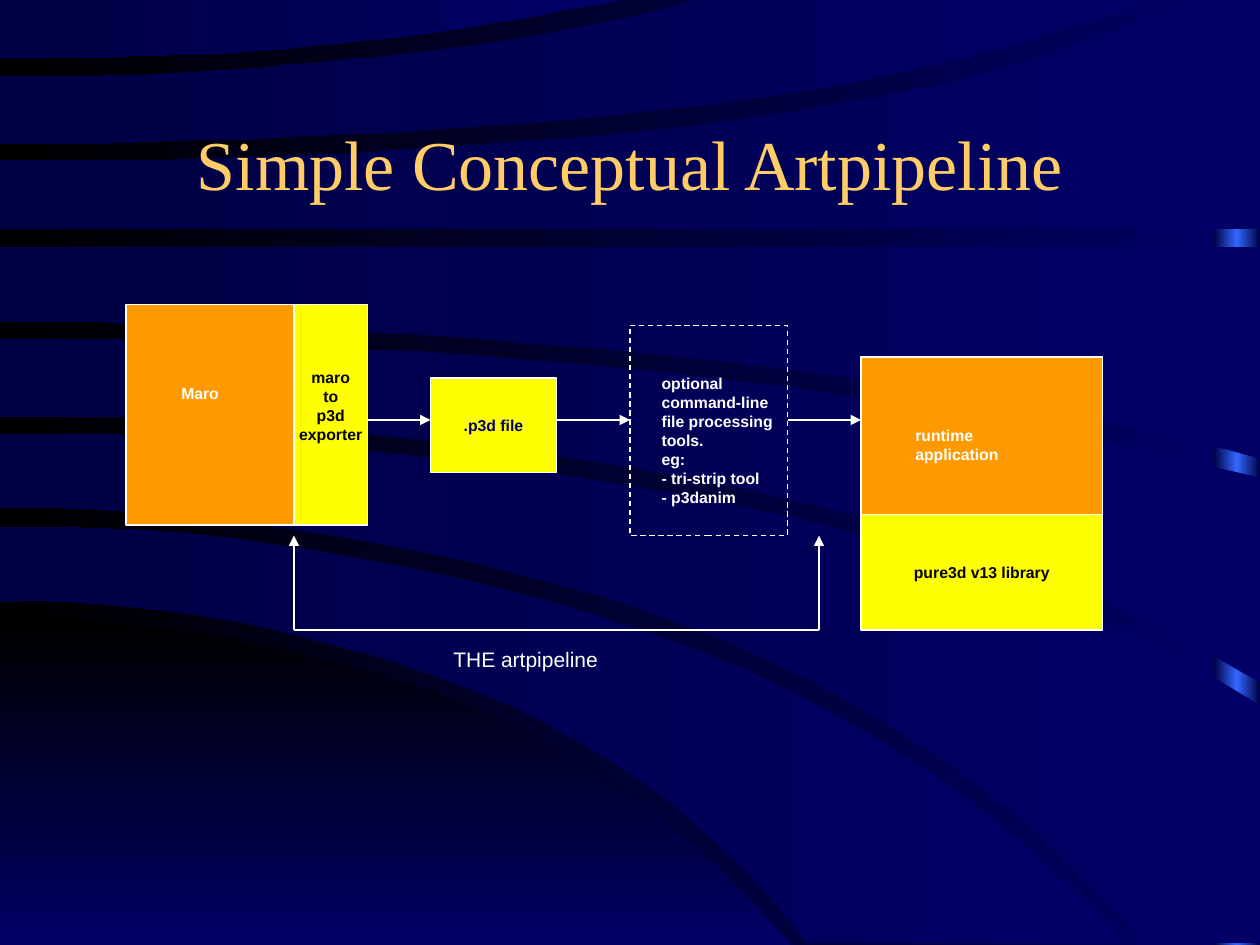
from lxml import etree
from pptx import Presentation, util as u
from pptx.dml.color import RGBColor
from pptx.enum import dml, shapes, text
from pptx.oxml.ns import qn

THEME = {
    "white": "FFFFFF", "black": "000000", "navy": "000066", "midnight": "000044",
    "blue": "3366FF", "gold": "FFCC66", "orange": "FF9900", "yellow": "FFFF00",
    "title_font": "Times New Roman", "body_font": "Arial",
    "title_size": 40, "caption_size": 12, "label_size": 9, "line_width": 0.75,
}
WIDTH, HEIGHT = 720, 540
FLOOR = 538.6  # where the bands end at the bottom

# Each edge runs from the left side to an end x, with heights at equal steps
POOL = [(452, [353.5, 362, 389, 440, HEIGHT]), (452, [HEIGHT, HEIGHT])]
# Bands: upper edge, lower edge, corner passed between their right ends
BANDS = [
    [(643, [301, 312, 346, 411, FLOOR]), (462, [343.5, 352, 380, 433, FLOOR]), None],
    [(WIDTH, [247.5, 255.5, 277.5, 320, 403]),
     (654.5, [290, 302, 336, 404, FLOOR]), (WIDTH, FLOOR)],
    [(WIDTH, [193.5, 198, 211, 235, 273]), (WIDTH, [237.5, 245, 267, 309.5, 390]), None],
    [(WIDTH, [141, 141]), (WIDTH, [183.5, 188, 201, 224, 262]), None],
    [(679, [92, 89, 77.5, 54, 0]), (WIDTH, [131, 131]), (WIDTH, 0)],
    [(396, [44, 42, 34.5, 22, 0]), (657, [82, 78.5, 68, 46, 0]), None],
    [(356, [0, 0]), (356, [34, 32, 26.5, 15.5, 0]), None],
]
CURVE_STEPS = 24

# Pipeline boxes: left, top, width, height, fill, lines of text, text format
BOXES = [
    (72, 174, 96, 126, "orange", [], {}),
    (168, 174, 42, 126, "yellow", ["maro", "to", "p3d", "exporter"], {"bottom": 14}),
    (246, 216, 72, 54, "yellow", [".p3d file"], {"ink": "navy"}),
    (360, 186, 90, 120, None, [], {}),
    (492, 204, 138, 90, "orange", [], {}),
    (492, 294, 138, 66, "yellow", ["pure3d v13 library"], {}),
]
# Free labels: left, top, width, height, lines of text, text format
LABELS = [
    (252, 366, 97, 21.6, ["THE artpipeline"], {"size": "caption_size", "bold": False}),
    (96.5, 216, 37, 17.6, ["Maro"], {}),
    (516, 240, 97, 17.6, ["runtime application"], {}),
    (371, 210, 78, 83, ["optional", "command-line", "file processing", "tools.",
                        "eg:", "- tri-strip tool", "- p3danim"], {}),
]
FLOW_Y = 240
FLOW = [(210, 246), (318, 360), (450, 492)]
BRACKET = {"left": 168, "right": 468, "top": 306, "bottom": 360}


def color(name):
    return RGBColor.from_string(THEME[name])


def edge_points(end, heights):
    """Points on the polynomial through evenly spaced heights."""
    last = len(heights) - 1
    points = []
    for step in range(CURVE_STEPS + 1):
        place = step * last / CURVE_STEPS
        y = 0
        for knot, height in enumerate(heights):
            for other in range(last + 1):
                if other != knot:
                    height *= (place - other) / (knot - other)
            y += height
        points.append((end * step / CURVE_STEPS, y))
    return points


def paint_gradient(fill, element, names, angle):
    """Fill with evenly spaced stops; the angle runs clockwise."""
    fill.gradient()
    fill.gradient_angle = (360 - angle) % 360
    stops = next(element.iter(qn("a:gsLst")))
    for stop in list(stops):
        stops.remove(stop)
    for index, name in enumerate(names):
        stop = etree.SubElement(stops, qn("a:gs"), pos=str(100000 * index // (len(names) - 1)))
        etree.SubElement(stop, qn("a:srgbClr"), val=THEME[name])


def finish_backdrop(shape, names, angle):
    shape.shadow.inherit = False
    shape.line.fill.background()
    paint_gradient(shape.fill, shape._element, names, angle)


def add_band(page, upper, lower, corner, names, angle):
    points = edge_points(*upper) + ([corner] if corner else []) + edge_points(*lower)[::-1]
    builder = page.shapes.build_freeform(*points[0], scale=u.Pt(1))
    builder.add_line_segments(points[1:], close=True)
    finish_backdrop(builder.convert_to_shape(), names, angle)


def write(box, lines, ink="black", size="label_size", font="body_font", bold=True,
          align="CENTER", anchor="MIDDLE", wrap=False, grow=False, bottom=3.6):
    frame = box.text_frame
    frame.word_wrap = wrap
    frame.vertical_anchor = text.MSO_ANCHOR[anchor]
    frame.margin_bottom = u.Pt(bottom)
    if grow:
        frame.auto_size = text.MSO_AUTO_SIZE.SHAPE_TO_FIT_TEXT
    for index, line in enumerate(lines):
        para = frame.add_paragraph() if index else frame.paragraphs[0]
        para.alignment = text.PP_ALIGN[align]
        span = para.add_run()
        span.text = line
        span.font.name, span.font.size = THEME[font], u.Pt(THEME[size])
        span.font.bold, span.font.color.rgb = bold, color(ink)


def add_rect(page, *place):
    shape = page.shapes.add_shape(shapes.MSO_SHAPE.RECTANGLE, *map(u.Pt, place))
    shape.shadow.inherit = False
    return shape


def set_line(line):
    line.color.rgb = color("white")
    line.width = u.Pt(THEME["line_width"])


def add_line(page, *ends, arrow=True):
    line = page.shapes.add_connector(shapes.MSO_CONNECTOR.STRAIGHT, *map(u.Pt, ends))
    set_line(line.line)
    outline = line._element.spPr
    if arrow:
        etree.SubElement(outline.find(qn("a:ln")), qn("a:tailEnd"), type="triangle")
    etree.SubElement(outline, qn("a:effectLst"))


def main():
    deck = Presentation()
    deck.slide_width, deck.slide_height = u.Pt(WIDTH), u.Pt(HEIGHT)
    page = deck.slides.add_slide(deck.slide_layouts[6])

    # Backdrop
    paint_gradient(page.background.fill, page._element, ["navy", "black"], 180)
    strip = add_rect(page, 693.5, 0, 26.5, HEIGHT)
    finish_backdrop(strip, ["midnight", "blue", "midnight"], 180)
    add_band(page, *POOL, None, ["black", "navy"], 90)
    for band in BANDS:
        add_band(page, *band, ["navy", "midnight"], 180)

    # Title
    title = page.shapes.add_textbox(*map(u.Pt, (54, 48, 612, 90)))
    write(title, ["Simple Conceptual Artpipeline"], ink="gold", size="title_size",
          font="title_font", bold=False, wrap=True)

    # Boxes
    for *place, fill, lines, style in BOXES:
        box = add_rect(page, *place)
        set_line(box.line)
        if fill:
            box.fill.solid()
            box.fill.fore_color.rgb = color(fill)
        else:
            box.fill.background()
            box.line.dash_style = dml.MSO_LINE.DASH
        write(box, lines, **style)

    # Bracket under the pipeline
    for x in (BRACKET["left"], BRACKET["right"]):
        add_line(page, x, BRACKET["bottom"], x, BRACKET["top"])
    add_line(page, BRACKET["left"], BRACKET["bottom"], BRACKET["right"], BRACKET["bottom"],
             arrow=False)

    # Labels
    for *place, lines, style in LABELS:
        label = page.shapes.add_textbox(*map(u.Pt, place))
        write(label, lines, ink="white", align="LEFT", anchor="TOP", grow=True, **style)

    # Flow arrows
    for start, end in FLOW:
        add_line(page, start, FLOW_Y, end, FLOW_Y)

    deck.save("out.pptx")


if __name__ == "__main__":
    main()
